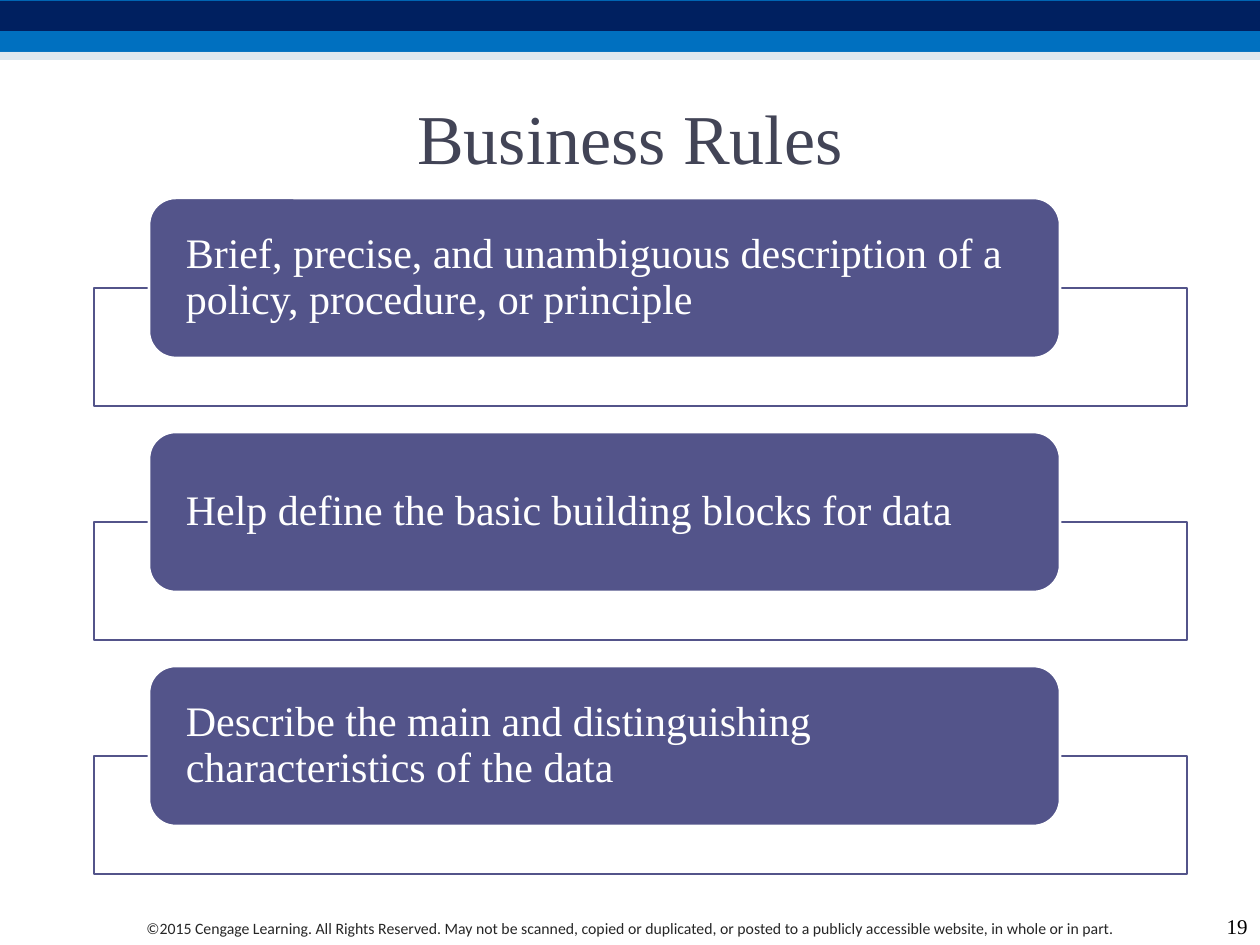
from lxml import etree
from pptx import Presentation
from pptx.dml.color import RGBColor
from pptx.enum.shapes import MSO_SHAPE
from pptx.enum.text import MSO_ANCHOR, PP_ALIGN
from pptx.oxml.ns import qn
from pptx.util import Emu, Pt

RECT, ROUNDED = MSO_SHAPE.RECTANGLE, MSO_SHAPE.ROUNDED_RECTANGLE
TOP, MIDDLE, BOTTOM = MSO_ANCHOR.TOP, MSO_ANCHOR.MIDDLE, MSO_ANCHOR.BOTTOM
LEFT, CENTER, RIGHT = PP_ALIGN.LEFT, PP_ALIGN.CENTER, PP_ALIGN.RIGHT

PX_PER_INCH = 126
SERIF, SANS = "Times New Roman", "Calibri"
WHITE, VIOLET = "FFFFFF", "53548A"

RULES = [
    "Brief, precise, and unambiguous description of a policy, procedure, or principle",
    "Help define the basic building blocks for data",
    "Describe the main and distinguishing characteristics of the data",
]
RULE_TOP, RULE_PITCH = 198, 234
COPYRIGHT = (
    "©2015 Cengage Learning. All Rights Reserved. May not be scanned, copied or "
    "duplicated, or posted to a publicly accessible website, in whole or in part."
)


def px(length):
    return Emu(round(length * 914400 / PX_PER_INCH))


def color(hex_string):
    return RGBColor.from_string(hex_string)


def add_box(slide, kind, left, top, width, height, fill, line=None, opacity=None):
    box = slide.shapes.add_shape(kind, px(left), px(top), px(width), px(height))
    box.shadow.inherit = False
    box.fill.solid()
    box.fill.fore_color.rgb = color(fill)
    if opacity is not None:
        fill_color = box.fill._xPr.find(qn("a:solidFill"))[0]
        etree.SubElement(fill_color, qn("a:alpha"), val=str(opacity * 1000))
    if line:
        box.line.color.rgb = color(line)
        box.line.width = Pt(1.5)
    else:
        box.line.fill.background()
    return box


def write_text(frame, text, size, ink, font=SERIF, align=LEFT, anchor=MIDDLE,
               spacing=None):
    frame.word_wrap = True
    frame.vertical_anchor = anchor
    paragraph = frame.paragraphs[0]
    paragraph.alignment = align
    if spacing:
        paragraph.line_spacing = spacing
    run = paragraph.add_run()
    run.text = text
    run.font.name = font
    run.font.size = Pt(size)
    run.font.color.rgb = color(ink)


def add_label(slide, text, left, top, width, height, **text_format):
    label = slide.shapes.add_textbox(px(left), px(top), px(width), px(height))
    write_text(label.text_frame, text, **text_format)


def add_banner(slide):
    add_box(slide, RECT, 0, 0, 1260, 52, "0070C0")
    add_box(slide, RECT, 0, 1, 1260, 30, "002060")
    add_box(slide, RECT, 0, 52, 1260, 8, "BED3E1", opacity=50)


def add_rule(slide, text, top):
    """Draw a rule card over the outlined frame behind it."""
    add_box(slide, RECT, 94, top + 90, 1093, 118, WHITE, line=VIOLET, opacity=90)
    card = add_box(slide, ROUNDED, 149, top, 911, 160, VIOLET, line=WHITE)
    frame = card.text_frame
    frame.margin_left = frame.margin_right = px(29)
    frame.margin_top = frame.margin_bottom = 0
    write_text(frame, text, size=24, ink=WHITE, spacing=0.9)


def main():
    deck = Presentation()
    deck.slide_width, deck.slide_height = px(1260), px(945)
    slide = deck.slides.add_slide(deck.slide_layouts[6])

    add_banner(slide)
    add_label(slide, COPYRIGHT, 73, 913, 1113, 32,
              size=9, ink="262626", font=SANS, align=CENTER, anchor=TOP)
    add_label(slide, "Business Rules", 63, 63, 1134, 147,
              size=40, ink="424456", align=CENTER)
    for index, rule in enumerate(RULES):
        add_rule(slide, rule, RULE_TOP + index * RULE_PITCH)
    add_label(slide, "19", 1197, 903, 63, 42,
              size=12, ink="000000", align=RIGHT, anchor=BOTTOM)

    deck.save("out.pptx")


if __name__ == "__main__":
    main()
